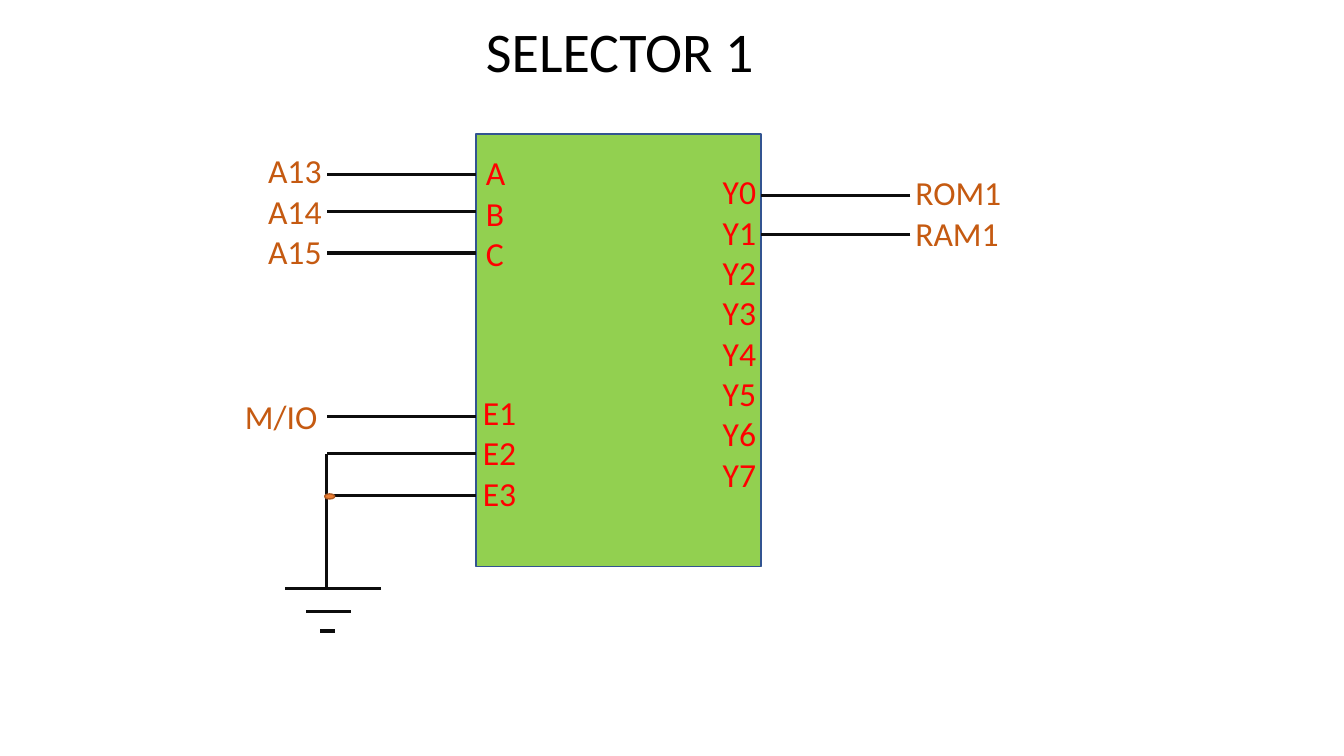
"""Builds the SELECTOR 1 slide: a decoder block with its wiring and ground."""
from lxml.etree import SubElement
from pptx import Presentation
from pptx.dml.color import RGBColor
from pptx.enum.shapes import MSO_CONNECTOR, MSO_SHAPE
from pptx.enum.text import MSO_ANCHOR, MSO_AUTO_SIZE, PP_ALIGN
from pptx.oxml.ns import qn
from pptx.util import Pt

PX = 9144
COLORS = {
    "block": "92D050", "block_line": "325491", "pin": "FF0000",
    "signal": "C55A11", "wire": "0D0D0D", "node": "ED7D31",
    "node_line": "AF5C24", "title": "000000",
}
FRAME = {
    "word_wrap": True,
    "auto_size": MSO_AUTO_SIZE.SHAPE_TO_FIT_TEXT,
    "vertical_anchor": MSO_ANCHOR.TOP,
}


def rgb(name):
    return RGBColor.from_string(COLORS[name])


def write(sp, box, lines, color, size):
    for name, value in zip(("left", "top", "width", "height"), box):
        setattr(sp, name, value * PX)
    tf = sp.text_frame
    for name, value in FRAME.items():
        setattr(tf, name, value)
    tf.text = "\n".join(lines)
    for p in tf.paragraphs:
        p.alignment = PP_ALIGN.LEFT
        font = p.runs[0].font
        for name, value in {"name": "Calibri", "size": Pt(size)}.items():
            setattr(font, name, value)
        font.color.rgb = rgb(color)


prs = Presentation()
prs.slide_width, prs.slide_height = 1333 * PX, 750 * PX
s = prs.slides.add_slide(prs.slide_layouts[5])
write(s.shapes.title, (472, 11, 317, 77), ["SELECTOR 1"], "title", 40)

BLOCK_LEFT, BLOCK_RIGHT, WIRE = 472, 755, 148
BUS = BLOCK_LEFT - WIRE
GROUND = 584

wires = [(BLOCK_LEFT, y, BUS, y) for y in (173, 210, 251, 413, 450, 492)]
wires += [(BLOCK_RIGHT + WIRE, y, BLOCK_RIGHT, y) for y in (194, 233)]
wires += [(BUS, 450, BUS, GROUND)]
wires += [(right, y, left, y) for left, right, y in
          ((283, 378, GROUND), (304, 348, 607), (317, 332, 626))]

shapes = [
    (MSO_SHAPE.RECTANGLE, (BLOCK_LEFT, 133, BLOCK_RIGHT - BLOCK_LEFT, 429), "block"),
    (MSO_SHAPE.OVAL, (322, 490, 10, 5), "node"),
]
for kind, box, color in shapes:
    sp = s.shapes.add_shape(kind, *(v * PX for v in box))
    sp.shadow.inherit = False
    sp.fill.solid()
    sp.fill.fore_color.rgb = rgb(color)
    sp.line.color.rgb = rgb(color + "_line")
    sp.line.width = Pt(1)
    if color == "node":
        continue
    for ends in wires:
        wire = s.shapes.add_connector(MSO_CONNECTOR.STRAIGHT, *(v * PX for v in ends))
        wire.line.color.rgb = rgb("wire")
        wire.line.width = Pt(2.25)
        SubElement(wire._element.spPr, qn("a:effectLst"))

labels = [
    ((472, 146, 92, 131), "ABC", "pin"),
    ((469, 384, 69, 131), [f"E{i}" for i in range(1, 4)], "pin"),
    ((707, 165, 67, 364), [f"Y{i}" for i in range(8)], "pin"),
    ((256, 144, 131, 131), [f"A{i}" for i in range(13, 16)], "signal"),
    ((233, 388, 121, 50), ["M/IO"], "signal"),
    ((898, 166, 159, 91), ["ROM1", "RAM1"], "signal"),
]
for box, lines, color in labels:
    write(s.shapes.add_textbox(0, 0, 0, 0), box, lines, color, 24)

prs.save("out.pptx")
